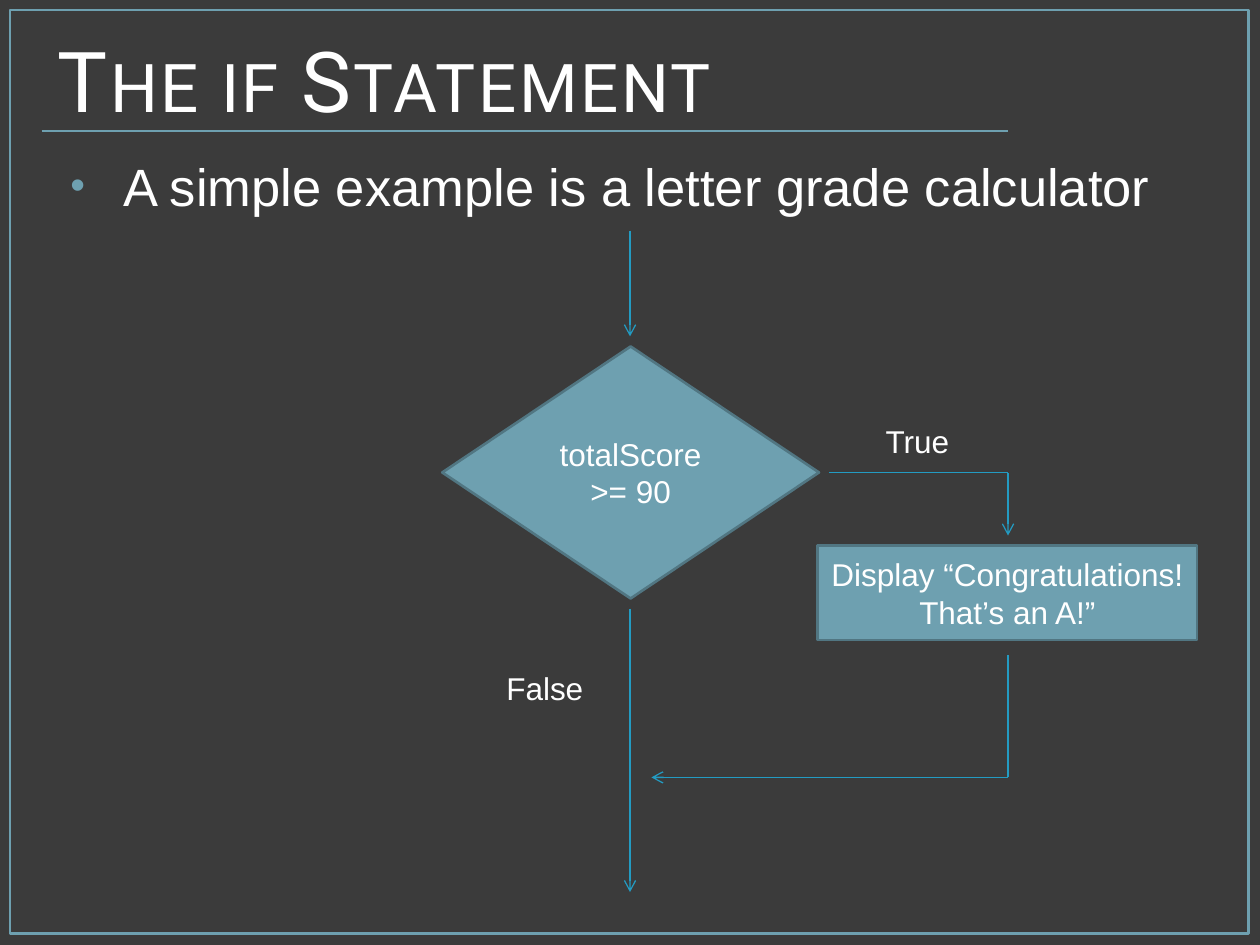
"""Build a slide with a flowchart of the if statement."""
import pptx
import pptx.util
import pptx.dml.color
import pptx.enum.shapes
import pptx.enum.text
import pptx.oxml
import pptx.oxml.ns
from lxml import etree

BACK, TEAL, EDGE, FLOW, WHITE = "3B3B3B", "6EA0B0", "517682", "239BC2", "FFFFFF"
KIND = pptx.enum.shapes.MSO_SHAPE
ALIGN = pptx.enum.text.PP_ALIGN
ANCHOR = pptx.enum.text.MSO_ANCHOR
MID, SIDE = 5, 8

TITLE = ("The if Statement", (0.36, 0, 9, 1.25))
POINT = ("A simple example is a letter grade calculator", (0.42, 1.17, 9.17, 6))
NODES = [
    (KIND.FLOWCHART_DECISION, "totalScore\v>= 90", (3.51, 2.75, 2.99, 2)),
    (KIND.RECTANGLE, "Display “Congratulations! That’s an A!”", (6.49, 4.33, 3.01, 0.75)),
]
LABELS = [("True", (6.93, 3.3, 0.71, 0.4)), ("False", (3.92, 5.26, 0.82, 0.4))]
LINES = [
    ((MID, 1.83), (MID, 2.67), True),
    ((6.58, 3.75), (SIDE, 3.75), False),
    ((SIDE, 3.75), (SIDE, 4.25), True),
    ((MID, 4.83), (MID, 7.08), True),
    ((SIDE, 5.2), (SIDE, 6.17), False),
    ((SIDE, 6.17), (5.17, 6.17), True),
]


def paint(form, color):
    if hasattr(form, "solid"):
        form.solid()
        form = form.fore_color
        form.rgb = pptx.dml.color.RGBColor.from_string(color)
    else:
        form.rgb = pptx.dml.color.RGBColor.from_string(color)


def place(box):
    return [pptx.util.Inches(n) for n in box]


def add_tag(node, tag, **attrs):
    return etree.SubElement(node, pptx.oxml.ns.qn(tag), attrs)


def write(shape, text, size, font="Arial", align=ALIGN.LEFT, wrap=True):
    frame = shape.text_frame
    frame.word_wrap = wrap
    para = frame.paragraphs[0]
    para.text = text
    para.alignment = align
    for run in para.runs:
        run.font.name = font
        run.font.size = pptx.util.Pt(size)
        paint(run.font.color, WHITE)
    return para


def add_box(slide, kind, box, fill, line):
    shape = slide.shapes.add_shape(kind, *place(box))
    shape.shadow.inherit = False
    if fill:
        paint(shape.fill, fill)
    else:
        shape.fill.background()
    paint(shape.line.fill, line)
    shape.line.width = pptx.util.Pt(1.5)
    return shape


def add_line(slide, start, end, color, arrow=False):
    kind = pptx.enum.shapes.MSO_CONNECTOR.STRAIGHT
    line = slide.shapes.add_connector(kind, *place(start + end))
    paint(line.line.fill, color)
    line.line.width = pptx.util.Pt(0.75)
    if arrow:
        add_tag(line.line._get_or_add_ln(), "a:tailEnd", type="arrow")
    add_tag(line._element.spPr, "a:effectLst")


def add_title(slide):
    text, box = TITLE
    shape = slide.shapes.add_textbox(*place(box))
    para = write(shape, text, 48, "Roboto")
    shape.text_frame.vertical_anchor = ANCHOR.MIDDLE
    props = para.runs[0].font._element
    props.set("cap", "small")
    props.set("spc", "150")


def add_point(slide):
    text, box = POINT
    para = write(slide.shapes.add_textbox(*place(box)), text, 30)
    para.space_before = pptx.util.Pt(3)
    props = para._p.get_or_add_pPr()
    props.set("marL", str(pptx.util.Inches(0.46)))
    props.set("indent", str(pptx.util.Inches(-0.42)))
    add_tag(add_tag(props, "a:buClr"), "a:srgbClr", val=TEAL)
    add_tag(props, "a:buSzPct", val="80000")
    add_tag(props, "a:buFont", typeface="Arial")
    add_tag(props, "a:buChar", char="•")


def main():
    deck = pptx.Presentation()
    deck.slide_width, deck.slide_height = place((10, 7.5))
    slide = deck.slides.add_slide(deck.slide_layouts[6])
    paint(slide.background.fill, BACK)
    add_box(slide, KIND.RECTANGLE, (0.08, 0.08, 9.83, 7.33), None, TEAL)
    add_line(slide, (0.33, 1.04), (8, 1.04), TEAL)
    add_point(slide)
    add_title(slide)
    for kind, text, box in NODES:
        shape = add_box(slide, kind, box, TEAL, EDGE)
        write(shape, text, 18, align=ALIGN.CENTER)
        shape.text_frame.vertical_anchor = ANCHOR.MIDDLE
    for text, box in LABELS:
        write(slide.shapes.add_textbox(*place(box)), text, 18, wrap=False)
    for start, end, arrow in LINES:
        add_line(slide, start, end, FLOW, arrow)
    deck.save("out.pptx")


if __name__ == "__main__":
    main()
